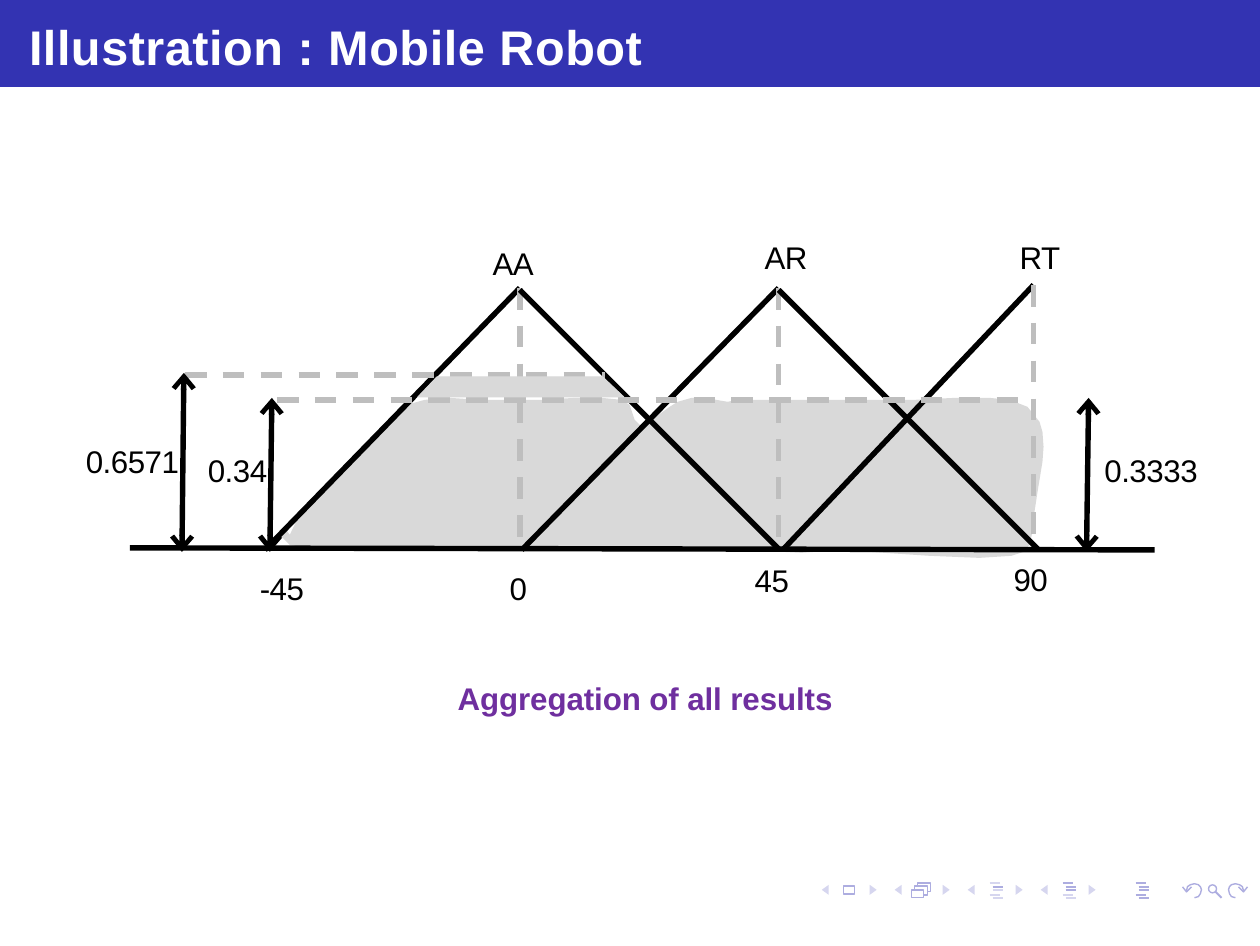
import dataclasses

import lxml.etree
import pptx
import pptx.dml.color
import pptx.enum.dml
import pptx.enum.shapes
import pptx.enum.text
import pptx.oxml.ns
import pptx.util

SCALE = 914400 / 250


@dataclasses.dataclass(frozen=True)
class Theme:
    font: str = "Arial"
    header: str = "3333B2"
    title: str = "FFFFFF"
    ink: str = "000000"
    guide: str = "BEBEBE"
    area: str = "D9D9D9"
    caption: str = "6F2F9F"
    icon: str = "ADADE0"
    icon_pale: str = "D6D6EF"
    title_size: float = 14
    label_size: float = 9
    line_width: float = 1.56
    icon_width: float = 0.4
    list_width: float = 0.6


THEME = Theme()

RESULT_AREA = [
    (602, 398), (575, 398), (543, 400), (480, 400), (450, 398), (425, 400),
    (400, 407), (382, 430), (365, 448), (345, 470), (322, 490), (302, 510),
    (290, 535), (285, 528), (280, 535), (290, 545), (308, 548), (350, 550),
    (745, 550), (802, 553), (842, 550), (885, 553), (930, 556), (980, 558),
    (1012, 556), (1024, 552), (1030, 545), (1034, 528), (1035, 512),
    (1038, 492), (1043, 462), (1044, 447), (1043, 432), (1040, 422),
    (1028, 407), (1010, 400), (990, 398), (955, 398), (915, 400),
    (738, 400), (728, 402), (705, 398), (692, 398), (678, 402), (670, 407),
    (652, 420), (645, 425), (640, 425), (635, 420), (630, 405), (622, 400),
]


def px(length):
    return pptx.util.Emu(round(length * SCALE))


def rgb(value):
    return pptx.dml.color.RGBColor.from_string(value)


def style_line(line, color, width):
    line.color.rgb = rgb(color)
    line.width = pptx.util.Pt(width)


def add_outline(slide, points, fill=None, line=None, width=THEME.icon_width, close=True):
    builder = slide.shapes.build_freeform(*points[0], scale=SCALE)
    builder.add_line_segments(points[1:], close=close)
    shape = builder.convert_to_shape()
    shape.shadow.inherit = False
    if fill:
        shape.fill.solid()
        shape.fill.fore_color.rgb = rgb(fill)
    else:
        shape.fill.background()
    if line:
        style_line(shape.line, line, width)
    else:
        shape.line.fill.background()


def add_line(slide, start, end, color=THEME.ink, width=THEME.line_width, dashed=False, arrows=False):
    connector = slide.shapes.add_connector(
        pptx.enum.shapes.MSO_CONNECTOR.STRAIGHT, *map(px, start + end))
    style_line(connector.line, color, width)
    if dashed:
        connector.line.dash_style = pptx.enum.dml.MSO_LINE.DASH
    if arrows:
        outline = connector.line._get_or_add_ln()
        for tag in ("a:headEnd", "a:tailEnd"):
            lxml.etree.SubElement(
                outline, pptx.oxml.ns.qn(tag), type="arrow", w="med", len="sm")
    properties = connector._element.spPr
    lxml.etree.SubElement(properties, pptx.oxml.ns.qn("a:effectLst"))


def write_text(frame, text, color, size, bold, spacing):
    frame.auto_size = pptx.enum.text.MSO_AUTO_SIZE.NONE
    frame.vertical_anchor = pptx.enum.text.MSO_ANCHOR.TOP
    frame.margin_right = frame.margin_bottom = 0
    paragraph = frame.paragraphs[0]
    paragraph.alignment = pptx.enum.text.PP_ALIGN.LEFT
    run = paragraph.add_run()
    run.text = text
    run.font.name = THEME.font
    run.font.size = pptx.util.Pt(size)
    run.font.bold = bold
    run.font.color.rgb = rgb(color)
    run._r.get_or_add_rPr().set("spc", str(spacing))


def add_title(slide, text):
    title = slide.shapes.title
    title.left, title.top, title.width, title.height = map(px, (0, 0, 1261, 87))
    title.fill.solid()
    title.fill.fore_color.rgb = rgb(THEME.header)
    frame = title.text_frame
    frame.margin_left, frame.margin_top = px(29), px(17)
    write_text(frame, text, THEME.title, THEME.title_size, True, 13)


def add_label(slide, text, left, top, width, color=THEME.ink, bold=False, spacing=-15):
    box = slide.shapes.add_textbox(*map(px, (left, top, width, 45)))
    frame = box.text_frame
    frame.word_wrap = False
    frame.margin_left, frame.margin_top = px(3), px(4)
    write_text(frame, text, color, THEME.label_size, bold, spacing)


def add_list_icon(slide, left, colors):
    for color, top, indent in zip(colors, (883, 887, 890, 895, 898), (0, 3, 3, 0, 3)):
        add_line(slide, (left + indent, top), (left + indent + 10, top), color, THEME.list_width)


def add_navigation(slide):
    for left in range(822, 1042, 73):
        for tip, base in ((left, left + 7), (left + 55, left + 48)):
            add_outline(slide, [(base, 885), (tip, 890), (base, 895)], fill=THEME.icon_pale)
    for left, top, right, bottom in ((844, 886, 855, 894), (912, 890, 924, 898)):
        corners = [(left, top), (right, top), (right, bottom), (left, bottom)]
        add_outline(slide, corners, line=THEME.icon)
    for shift in (0, 3):
        sheet = [(915, 889), (915, 886), (928, 886), (928, 895), (925, 895)]
        add_outline(slide, [(x + shift, y - shift) for x, y in sheet], line=THEME.icon, close=False)

    dark, pale = THEME.icon, THEME.icon_pale
    add_list_icon(slide, 990, (pale, dark, pale, pale, pale))
    add_list_icon(slide, 1063, (dark, dark, dark, pale, pale))
    add_list_icon(slide, 1136, (dark,) * 5)

    lens = slide.shapes.add_shape(
        pptx.enum.shapes.MSO_SHAPE.OVAL, *map(px, (1209, 885, 8, 8)))
    lens.shadow.inherit = False
    lens.fill.background()
    style_line(lens.line, dark, THEME.icon_width)
    add_line(slide, (1216, 892), (1222, 898), dark, THEME.list_width)

    arc = [(1195, 898), (1199, 897), (1201, 894), (1202, 890), (1201, 887),
           (1199, 885), (1195, 884), (1191, 885), (1188, 887), (1187, 891)]
    head = [(1192, 887), (1187, 892), (1183, 887)]
    for stroke in (arc, head):
        add_outline(slide, stroke, line=dark, close=False)
        add_outline(slide, [(2431 - x, y) for x, y in stroke], line=dark, close=False)


def add_membership_plot(slide):
    add_outline(slide, RESULT_AREA, fill=THEME.area)
    add_line(slide, (130, 548), (1155, 550))
    for peak, top, foot in ((520, 288, 265), (779, 288, 522), (1034, 285, 783)):
        add_line(slide, (peak, top), (foot, 550))
        add_line(slide, (peak, top), (peak, 549), THEME.guide, dashed=True)
    for peak in (520, 779):
        add_line(slide, (peak, 290), (peak + 260, 550))
    for start, end, level in ((277, 1034, 400), (185, 605, 375)):
        add_line(slide, (start, level), (end, level), THEME.guide, dashed=True)
    for left, top in ((184, 373), (272, 398), (1089, 398)):
        add_line(slide, (left, top), (left - 2, 552), arrows=True)
    add_outline(slide, [(418, 397), (437, 377), (603, 377), (624, 397)],
                fill=THEME.area, line=THEME.area, width=0.25)


def main():
    presentation = pptx.Presentation()
    presentation.slide_width = pptx.util.Pt(363)
    presentation.slide_height = pptx.util.Pt(272.5)
    slide = presentation.slides.add_slide(presentation.slide_layouts[5])
    add_title(slide, "Illustration : Mobile Robot")
    add_navigation(slide)
    add_membership_plot(slide)
    for text, left, top, width in (
        ("-45", 257, 565, 53), ("0", 507, 565, 25),
        ("45", 752, 557, 43), ("90", 1011, 556, 43),
        ("AA", 490, 240, 50), ("AR", 762, 234, 50), ("RT", 1017, 234, 48),
        ("0.6571", 83, 438, 103), ("0.34", 205, 447, 65), ("0.3333", 1102, 447, 103),
    ):
        add_label(slide, text, left, top, width)
    add_label(slide, "Aggregation of all results", 455, 675, 385, THEME.caption, True, -3)
    presentation.save("out.pptx")


if __name__ == "__main__":
    main()
